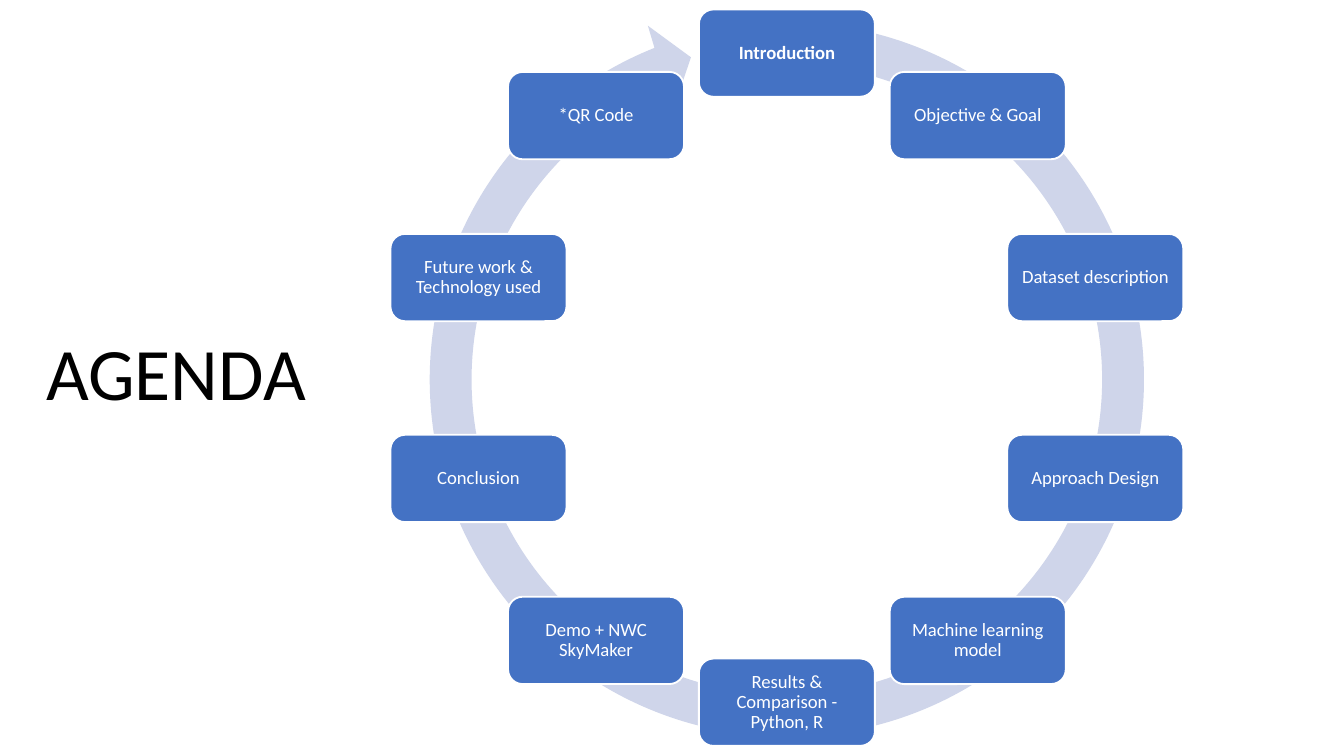
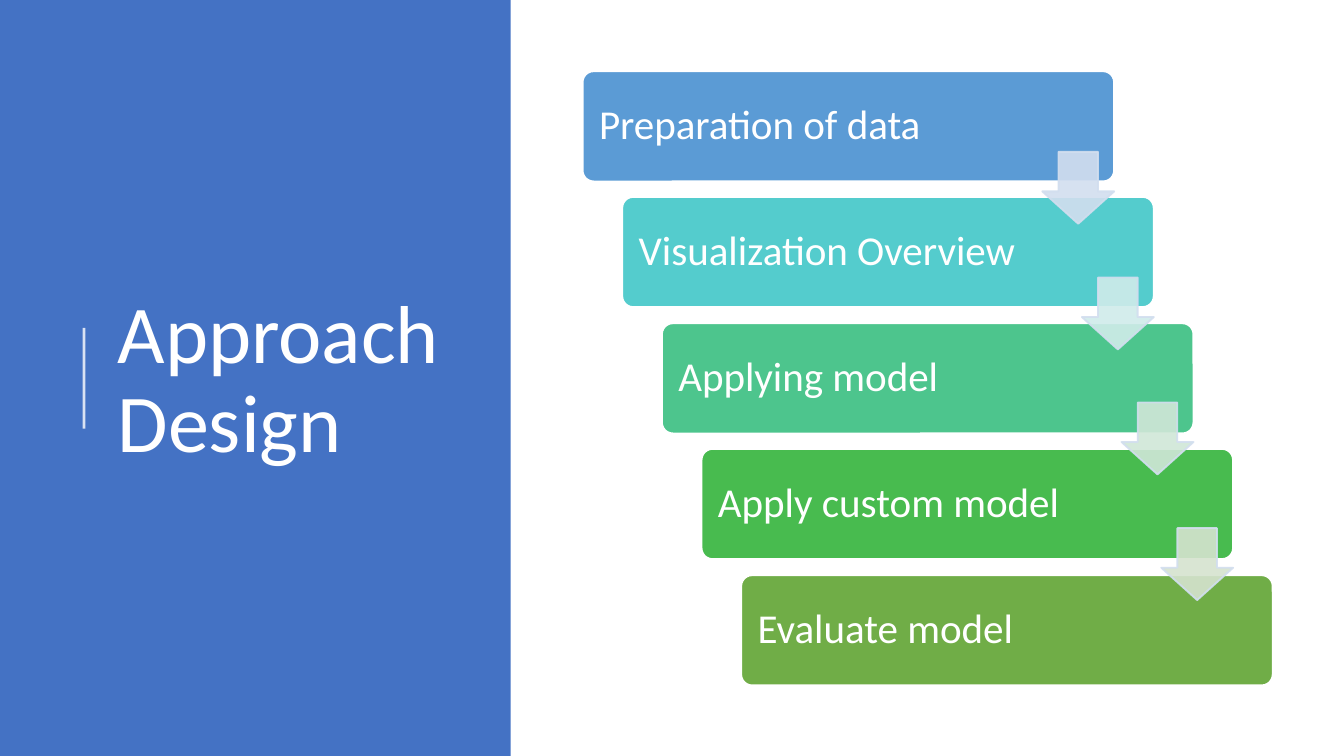
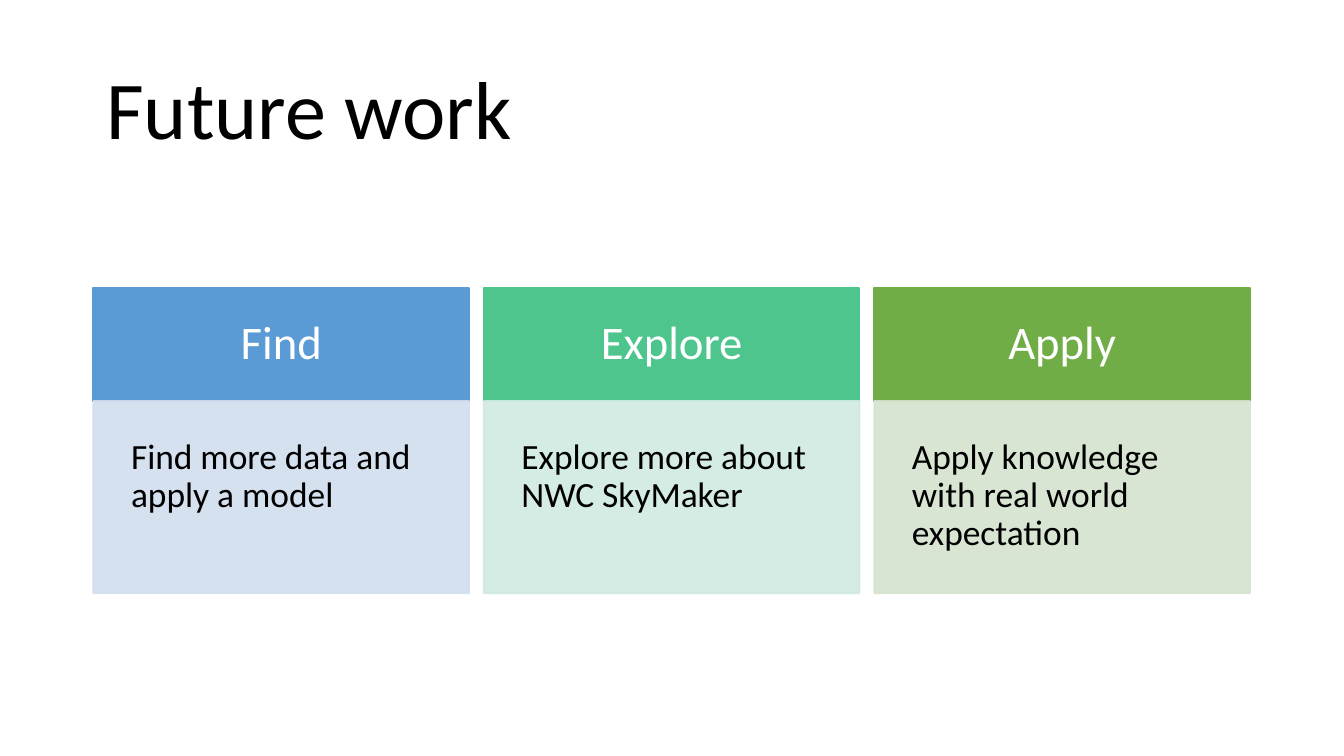
import math

import lxml.etree
import pptx
import pptx.dml.color
import pptx.enum.shapes
import pptx.enum.text
import pptx.oxml.ns
import pptx.util

# Shared style: 200 px to the inch
EMU_PER_PX = 4572
SLIDE_WIDTH, SLIDE_HEIGHT = 2000, 1125
TITLE_ONLY = 5
FONT = "Calibri"

WHITE = pptx.dml.color.RGBColor(0xFF, 0xFF, 0xFF)
BLACK = pptx.dml.color.RGBColor(0x00, 0x00, 0x00)
BLUE = pptx.dml.color.RGBColor(0x44, 0x72, 0xC4)
RING = pptx.dml.color.RGBColor(0xCF, 0xD5, 0xEA)
SKY = pptx.dml.color.RGBColor(0x5B, 0x9B, 0xD5)
TURQUOISE = pptx.dml.color.RGBColor(0x54, 0xCC, 0xCD)
MINT = pptx.dml.color.RGBColor(0x4D, 0xC5, 0x8D)
GREEN = pptx.dml.color.RGBColor(0x48, 0xBB, 0x4F)
OLIVE = pptx.dml.color.RGBColor(0x70, 0xAD, 0x47)
PALE_SKY = pptx.dml.color.RGBColor(0xD2, 0xDE, 0xEF)
PALE_TURQUOISE = pptx.dml.color.RGBColor(0xD0, 0xEC, 0xEA)
PALE_MINT = pptx.dml.color.RGBColor(0xD0, 0xE7, 0xD8)
PALE_TEAL = pptx.dml.color.RGBColor(0xD0, 0xEA, 0xE1)
PALE_OLIVE = pptx.dml.color.RGBColor(0xD5, 0xE3, 0xCF)

SHAPE = pptx.enum.shapes.MSO_SHAPE
LEFT = pptx.enum.text.PP_ALIGN.LEFT
CENTER = pptx.enum.text.PP_ALIGN.CENTER
TOP = pptx.enum.text.MSO_ANCHOR.TOP
MIDDLE = pptx.enum.text.MSO_ANCHOR.MIDDLE


def px(length):
    return pptx.util.Emu(round(length) * EMU_PER_PX)


def set_opacity(shape, percent):
    """Apply one opacity to the fill and line of a shape."""
    for color in shape._element.spPr.iter(pptx.oxml.ns.qn("a:srgbClr")):
        alpha = lxml.etree.SubElement(color, pptx.oxml.ns.qn("a:alpha"))
        alpha.set("val", str(percent * 1000))


def write_text(shape, text, *, size, color=WHITE, bold=False, align=LEFT,
               anchor=MIDDLE, inset=None):
    frame = shape.text_frame
    frame.word_wrap = True
    frame.auto_size = pptx.enum.text.MSO_AUTO_SIZE.NONE
    frame.vertical_anchor = anchor
    if inset is not None:
        frame.margin_left = frame.margin_right = px(inset)
        frame.margin_top = frame.margin_bottom = px(inset)
    paragraph = frame.paragraphs[0]
    paragraph.alignment = align
    paragraph.line_spacing = 0.9
    run = paragraph.add_run()
    run.text = text
    run.font.name = FONT
    run.font.size = pptx.util.Pt(size)
    run.font.bold = bold
    run.font.color.rgb = color


class Deck:
    def __init__(self):
        self.presentation = pptx.Presentation()
        self.presentation.slide_width = px(SLIDE_WIDTH)
        self.presentation.slide_height = px(SLIDE_HEIGHT)
        self.slide = None

    def add_slide(self):
        layout = self.presentation.slide_layouts[TITLE_ONLY]
        self.slide = self.presentation.slides.add_slide(layout)

    def add_title(self, text, left, top, width, height, *, size=44, **text_format):
        title = self.slide.shapes.title
        title.left, title.top = px(left), px(top)
        title.width, title.height = px(width), px(height)
        write_text(title, text, size=size, **text_format)
        # Keep the title in front of the shapes added so far
        self.slide.shapes._spTree.append(title._element)

    def add_shape(self, kind, left, top, width, height, fill, *, line=None,
                  opacity=None, adjustments=()):
        shape = self.slide.shapes.add_shape(
            kind, px(left), px(top), px(width), px(height))
        shape.shadow.inherit = False
        shape.fill.solid()
        shape.fill.fore_color.rgb = fill
        if line is None:
            shape.line.fill.background()
        else:
            shape.line.color.rgb = line
            shape.line.width = pptx.util.Pt(1)
        for index, value in enumerate(adjustments):
            shape.adjustments[index] = value
        if opacity is not None:
            set_opacity(shape, opacity)
        return shape

    def add_line(self, x1, y1, x2, y2, color, *, width, opacity):
        line = self.slide.shapes.add_connector(
            pptx.enum.shapes.MSO_CONNECTOR.STRAIGHT, px(x1), px(y1), px(x2), px(y2))
        line.line.color.rgb = color
        line.line.width = pptx.util.Pt(width)
        set_opacity(line, opacity)
        lxml.etree.SubElement(line._element.spPr, pptx.oxml.ns.qn("a:effectLst"))


def build_agenda(deck):
    deck.add_slide()
    deck.add_title("AGENDA", 0, 489, 524, 144, size=39.6, color=BLACK, align=CENTER)
    deck.add_shape(SHAPE.CIRCULAR_ARROW, 605, -1, 1132, 1132, RING,
                   adjustments=(0.055, 3.307, 148.751, 167.47, 0.058))

    # Topics spaced evenly round the ring, clockwise from the top
    topics = ["Introduction", "Objective & Goal", "Dataset description",
              "Approach Design", "Machine learning model",
              "Results & Comparison - Python, R", "Demo + NWC SkyMaker",
              "Conclusion", "Future work & Technology used", "*QR Code"]
    center_x, center_y, radius = 1171, 562.5, 483
    width, height = 262, 130
    for index, topic in enumerate(topics):
        angle = math.tau * index / len(topics)
        left = center_x + radius * math.sin(angle) - width / 2
        top = center_y - radius * math.cos(angle) - height / 2
        box = deck.add_shape(SHAPE.ROUNDED_RECTANGLE, left, top, width, height,
                             BLUE, line=WHITE)
        write_text(box, topic, size=10, bold=index == 0, align=CENTER, inset=14)


def build_approach(deck):
    deck.add_slide()
    # Title panel
    deck.add_shape(SHAPE.RECTANGLE, 0, 0, 760, SLIDE_HEIGHT, BLUE)
    deck.add_title("Approach Design", 155, 117, 552, 902)
    deck.add_line(125, 638, 125, 488, WHITE, width=1.5, opacity=80)

    # Staircase of steps, then the arrows that join them
    step_x, step_y = 59.1, 187.4
    steps = [("Preparation of data", SKY), ("Visualization Overview", TURQUOISE),
             ("Applying model", MINT), ("Apply custom model", GREEN),
             ("Evaluate model", OLIVE)]
    for index, (text, color) in enumerate(steps):
        box = deck.add_shape(SHAPE.ROUNDED_RECTANGLE, 867 + index * step_x,
                             106 + index * step_y, 791, 164, color, line=WHITE,
                             adjustments=(0.1,))
        write_text(box, text, size=22, inset=20)
    arrow_colors = [PALE_SKY, PALE_TURQUOISE, PALE_MINT, PALE_OLIVE]
    for index, color in enumerate(arrow_colors):
        deck.add_shape(SHAPE.DOWN_ARROW, 1551 + index * step_x,
                       226 + index * 186.7, 107, 107, color, line=PALE_SKY,
                       opacity=90, adjustments=(0.55, 0.45))


def build_future_work(deck):
    deck.add_slide()
    deck.add_title("Future work", 138, 59, 1724, 218, color=BLACK)

    # Three columns, each with a heading above its detail
    columns = [
        ("Find", "Find more data and apply a model", SKY, PALE_SKY),
        ("Explore", "Explore more about NWC SkyMaker", MINT, PALE_TEAL),
        ("Apply", "Apply knowledge with real world expectation", OLIVE, PALE_OLIVE),
    ]
    for index, (heading, detail, color, pale_color) in enumerate(columns):
        left = 139 + index * 581
        header = deck.add_shape(SHAPE.RECTANGLE, left, 429, 559, 168, color, line=color)
        write_text(header, heading, size=25, align=CENTER, inset=44)
        body = deck.add_shape(SHAPE.RECTANGLE, left, 597, 559, 286, pale_color,
                              line=pale_color, opacity=90)
        write_text(body, detail, size=19, color=BLACK, anchor=TOP, inset=56)


def main():
    deck = Deck()
    build_agenda(deck)
    build_approach(deck)
    build_future_work(deck)
    deck.presentation.save("out.pptx")


if __name__ == "__main__":
    main()
